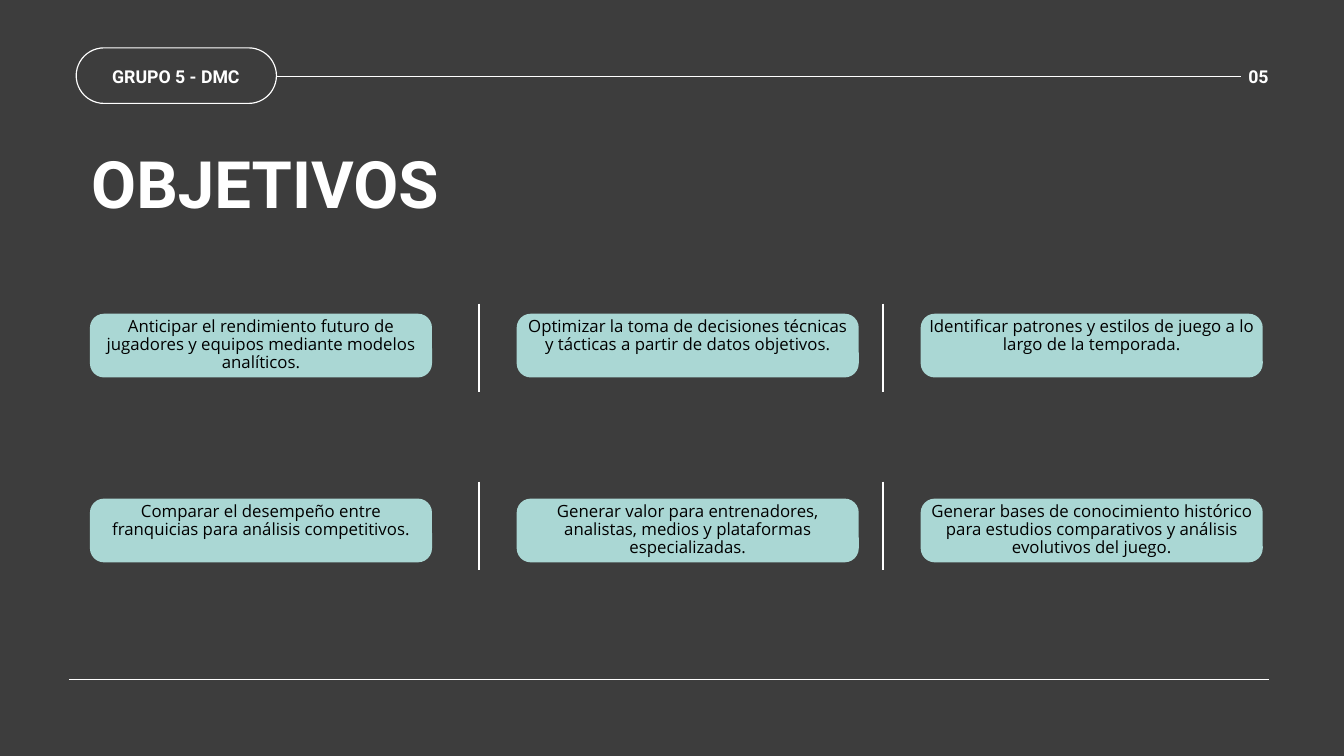
from dataclasses import dataclass

from lxml import etree
from pptx import Presentation
from pptx.dml.color import RGBColor
from pptx.enum.shapes import MSO_CONNECTOR, MSO_SHAPE
from pptx.enum.text import MSO_ANCHOR, MSO_AUTO_SIZE, PP_ALIGN
from pptx.oxml.ns import qn
from pptx.util import Cm, Pt

STRAIGHT = MSO_CONNECTOR.STRAIGHT
ROUNDED = MSO_SHAPE.ROUNDED_RECTANGLE
TOP = MSO_ANCHOR.TOP
GROW = MSO_AUTO_SIZE.SHAPE_TO_FIT_TEXT
LEFT, CENTER, RIGHT = PP_ALIGN.LEFT, PP_ALIGN.CENTER, PP_ALIGN.RIGHT


@dataclass(frozen=True)
class Theme:
    background: RGBColor = RGBColor(0x3D, 0x3D, 0x3D)
    light: RGBColor = RGBColor(0xFF, 0xFF, 0xFF)
    card: RGBColor = RGBColor(0xAA, 0xD7, 0xD4)
    dark: RGBColor = RGBColor(0x00, 0x00, 0x00)
    heading_font: str = "Roboto"
    body_font: str = "Open Sans"
    title_size: float = 70
    label_size: float = 19
    body_size: float = 18
    thin: float = 0.75
    outline: float = 1.25
    thick: float = 2.25


THEME = Theme()

HEADINGS = [
    ("OBJETIVOS", (3.45, 6.25, 18.87, 2.16), THEME.title_size, 60, LEFT),
    ("GRUPO 5 - DMC", (3.45, 2.29, 6.4, 0.97), THEME.label_size, 28.5, CENTER),
    ("05", (46.91, 2.29, 1.04, 0.97), THEME.label_size, 28.5, RIGHT),
]
OBJECTIVES = [
    [
        "Anticipar el rendimiento futuro de jugadores y equipos mediante modelos analíticos.",
        "Optimizar la toma de decisiones técnicas y tácticas a partir de datos objetivos.",
        "Identificar patrones y estilos de juego a lo largo de la temporada.",
    ],
    [
        "Comparar el desempeño entre franquicias para análisis competitivos.",
        "Generar valor para entrenadores, analistas, medios y plataformas especializadas.",
        "Generar bases de conocimiento histórico para estudios comparativos y análisis evolutivos del juego.",
    ],
]
RULES = [((10.48, 2.87), (46.91, 2.87)), ((2.6, 25.7), (47.95, 25.7))]
PILL = (2.88, 1.81, 7.57, 2.1)
CARD_LEFTS = [3.4, 19.53, 34.8]
CARD_TOPS = [11.86, 18.85]
CARD_SIZE = (12.93, 2.41)
DIVIDER_LEFTS = [18.11, 33.37]
DIVIDER_TOPS = [11.48, 18.21]
DIVIDER_HEIGHT = 3.35


def add_line(slide, start, end, width):
    line = slide.shapes.add_connector(STRAIGHT, *map(Cm, start + end))
    line.line.color.rgb = THEME.light
    line.line.width = Pt(width)
    etree.SubElement(line._element.spPr, qn("a:effectLst"))


def add_rounded(slide, box, radius):
    shape = slide.shapes.add_shape(ROUNDED, *map(Cm, box))
    shape.shadow.inherit = False
    shape.adjustments[0] = radius
    return shape


def write(shape, text, alignment, spacing, font_name, size, color, bold, side_margin=0):
    frame = shape.text_frame
    frame.word_wrap = True
    frame.vertical_anchor = TOP
    frame.margin_left = frame.margin_right = Cm(side_margin)
    frame.margin_top = frame.margin_bottom = 0
    paragraph = frame.paragraphs[0]
    paragraph.alignment = alignment
    paragraph.line_spacing = spacing
    run = paragraph.add_run()
    run.text = text
    run.font.name = font_name
    run.font.size = Pt(size)
    run.font.bold = bold
    run.font.color.rgb = color


def add_heading(slide, text, box, size, spacing, alignment):
    shape = slide.shapes.add_textbox(*map(Cm, box))
    write(shape, text, alignment, Pt(spacing), THEME.heading_font, size, THEME.light, True)
    shape.text_frame.auto_size = GROW


def add_card(slide, text, left, top):
    card = add_rounded(slide, (left, top, *CARD_SIZE), 0.22)
    card.fill.solid()
    card.fill.fore_color.rgb = THEME.card
    card.line.fill.background()
    write(card, text, CENTER, 0.9, THEME.body_font, THEME.body_size, THEME.dark, False, 0.1)


def main():
    presentation = Presentation()
    presentation.slide_width = Cm(50.8)
    presentation.slide_height = Cm(28.58)
    slide = presentation.slides.add_slide(presentation.slide_layouts[6])
    slide.background.fill.solid()
    slide.background.fill.fore_color.rgb = THEME.background

    pill = add_rounded(slide, PILL, 0.5)
    pill.fill.background()
    pill.line.color.rgb = THEME.light
    pill.line.width = Pt(THEME.outline)

    for start, end in RULES:
        add_line(slide, start, end, THEME.thin)
    for heading in HEADINGS:
        add_heading(slide, *heading)
    for top in DIVIDER_TOPS:
        for left in DIVIDER_LEFTS:
            add_line(slide, (left, top), (left, top + DIVIDER_HEIGHT), THEME.thick)
    for top, row in zip(CARD_TOPS, OBJECTIVES):
        for left, text in zip(CARD_LEFTS, row):
            add_card(slide, text, left, top)

    presentation.save("out.pptx")


if __name__ == "__main__":
    main()
